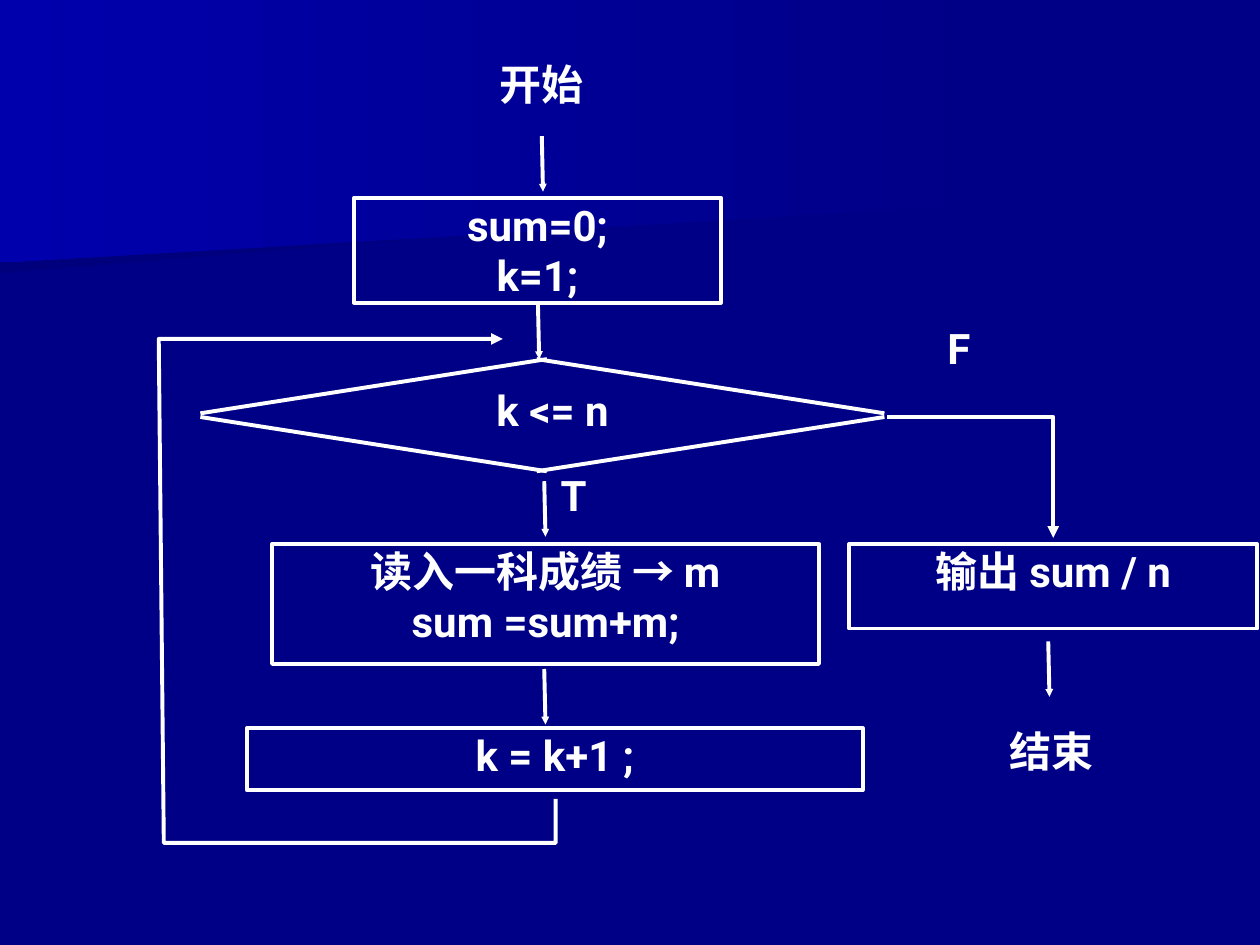
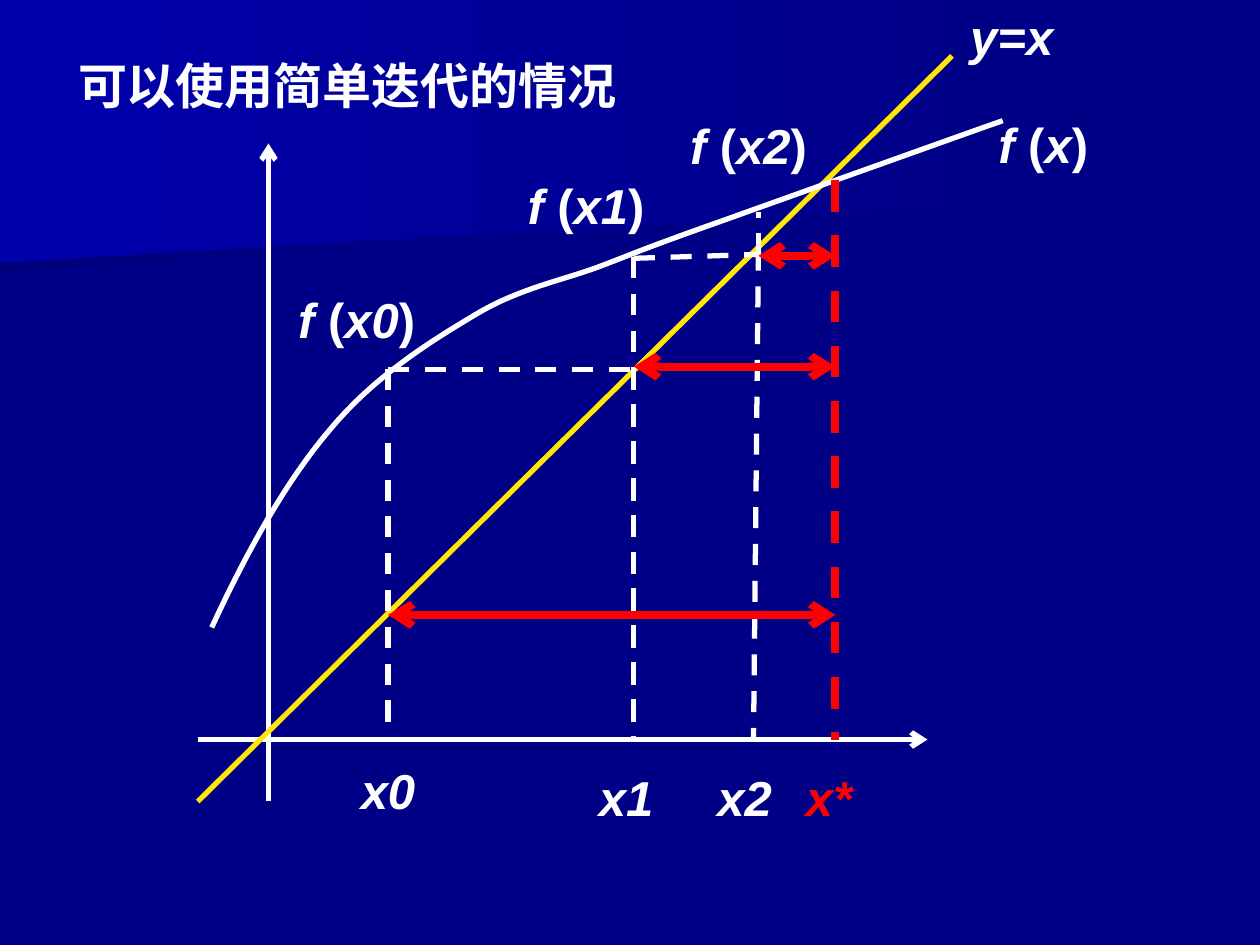
import pptx
import pptx.dml.color
import pptx.enum.dml
import pptx.enum.shapes
import pptx.enum.text
import pptx.util
import lxml.etree
from pptx.enum.text import MSO_ANCHOR, PP_ALIGN
from pptx.oxml.ns import qn

Pt = pptx.util.Pt
RGBColor = pptx.dml.color.RGBColor

NAVY = RGBColor(0x00, 0x00, 0x86)
DEEP_NAVY = RGBColor(0x00, 0x00, 0x7D)
BRIGHT_BLUE = RGBColor(0x00, 0x00, 0xAC)
WHITE = RGBColor(0xFF, 0xFF, 0xFF)
YELLOW = RGBColor(0xFF, 0xE7, 0x01)
RED = RGBColor(0xFF, 0x00, 0x00)

FLOW_FONT, FLOW_SIZE, FLOW_LINE = "Roboto", 24, 2.25
PLOT_FONT, PLOT_SIZE, PLOT_LINE = "Arial", 28, 3
DISTANCE_LINE = 4.5


# Shared drawing helpers
def style_run(run, font, size, color=WHITE, italic=None):
    run.font.name = font
    run.font.size = Pt(size)
    run.font.bold = True
    run.font.italic = italic
    run.font.color.rgb = color


def style_line(shape, color, width, dashed=False, head=None, tail=None, tip="med"):
    shape.line.color.rgb = color
    shape.line.width = Pt(width)
    if dashed:
        shape.line.dash_style = pptx.enum.dml.MSO_LINE.DASH
    for tag, kind in (("a:headEnd", head), ("a:tailEnd", tail)):
        if kind:
            lxml.etree.SubElement(shape.get_or_add_ln(), qn(tag),
                                  type=kind, w=tip, len=tip)


def set_margins(frame, horizontal, vertical):
    frame.margin_left = frame.margin_right = Pt(horizontal)
    frame.margin_top = frame.margin_bottom = Pt(vertical)


class Region:
    """Part of a slide; everything in it is placed from its top left corner."""

    def __init__(self, slide, left, top):
        self.shapes = slide.shapes
        self.left, self.top = left, top

    def at(self, x, y):
        return Pt(self.left + x), Pt(self.top + y)

    def line(self, start, end, color, width, **ends):
        connector = self.shapes.add_connector(
            pptx.enum.shapes.MSO_CONNECTOR.STRAIGHT, *self.at(*start), *self.at(*end))
        style_line(connector, color, width, **ends)
        lxml.etree.SubElement(connector.element.spPr, qn("a:effectLst"))

    def outline(self, points, close=False):
        first, *rest = [self.at(*point) for point in points]
        builder = self.shapes.build_freeform(*first)
        builder.add_line_segments(rest, close=close)
        shape = builder.convert_to_shape()
        shape.shadow.inherit = False
        return shape

    def open_path(self, points, color, width, **ends):
        shape = self.outline(points)
        shape.fill.background()
        style_line(shape, color, width, **ends)

    def text(self, x, y, width, height):
        return self.shapes.add_textbox(*self.at(x, y), Pt(width), Pt(height))


# Master: navy background and two slanted bands
def build_master(prs, slide):
    master = prs.slide_master
    master.background.fill.solid()
    master.background.fill.fore_color.rgb = NAVY
    bands = (
        (DEEP_NAVY, [(560, 110), (0, 156), (0, 73), (561, 73), (560, 92)]),
        (BRIGHT_BLUE, [(570, 116.6), (0, 150), (0, 0), (570, 0)]),
    )
    page = Region(slide, 0, 0)
    for position, (left_color, corners) in enumerate(bands, start=2):
        band = page.outline(corners, close=True)
        band.line.fill.background()
        band.fill.gradient()
        band.fill.gradient_angle = 180
        for stop, color, offset in zip(band.fill.gradient_stops,
                                       (NAVY, left_color), (0, 1)):
            stop.color.rgb = color
            stop.position = offset
        master.shapes.element.insert(position, band.element)


# Flowchart slide
def fill_flow_text(shape, text, align):
    frame = shape.text_frame
    frame.word_wrap = True
    frame.vertical_anchor = MSO_ANCHOR.TOP
    set_margins(frame, 0.75, 0.75)
    frame.text = text
    for paragraph in frame.paragraphs:
        paragraph.alignment = align
        for run in paragraph.runs:
            style_run(run, FLOW_FONT, FLOW_SIZE)


def draw_flowchart(slide, left, top):
    chart = Region(slide, left, top)

    # Process boxes
    for text, x, y, width, height in (
        ("sum=0;\nk=1;", 112.3, 81, 209.5, 60),
        ("读入一科成绩 → m\nsum =sum+m;", 65.5, 279, 312.5, 68.4),
        ("k = k+1 ;", 51, 384.2, 352, 35.3),
        ("输出 sum / n", 395.3, 279, 233.3, 48.2),
    ):
        step = chart.shapes.add_shape(pptx.enum.shapes.MSO_SHAPE.RECTANGLE,
                                      *chart.at(x, y), Pt(width), Pt(height))
        step.shadow.inherit = False
        step.fill.background()
        style_line(step, WHITE, FLOW_LINE)
        fill_flow_text(step, text, PP_ALIGN.CENTER)

    # Start, end, condition and branch labels
    for text, x, y, width, height, align in (
        ("开始", 134.6, 0.4, 170, 34, PP_ALIGN.CENTER),
        ("k <= n", 67, 187, 317.5, 35.3, PP_ALIGN.CENTER),
        ("结束", 438.5, 382, 144.7, 37.4, PP_ALIGN.CENTER),
        ("F", 450.7, 151.6, 57.6, 64.8, PP_ALIGN.LEFT),
        ("T", 229.7, 235.8, 57.6, 57.6, PP_ALIGN.LEFT),
    ):
        fill_flow_text(chart.text(x, y, width, height), text, align)

    # Condition diamond
    for side_x, peak_x in ((24.5, 222.5), (415.4, 216.7)):
        for side_y, peak_y in ((204.2, 173.2), (206.3, 237.3)):
            chart.line((side_x, side_y), (peak_x, peak_y), WHITE, FLOW_LINE)

    # Short arrows from step to step
    for x, y in ((219.6, 45.8), (217.4, 141.5), (221, 243), (221, 350.3), (509, 334.5)):
        chart.line((x, y), (x + 0.7, y + 31.7), WHITE, FLOW_LINE,
                   tail="triangle", tip="sm")

    # Loop back and exit
    loop_back = [(227.5, 424.5), (227.5, 449.7), (3.6, 449.7), (0.7, 161.7), (197.3, 161.7)]
    loop_exit = [(416.9, 206.3), (511.9, 206.3), (511.9, 275.4)]
    for route in (loop_back, loop_exit):
        chart.open_path(route, WHITE, FLOW_LINE, tail="triangle")


# Iteration plot slide
def set_title(slide, text, left, top, width, height):
    title = slide.shapes.title
    title.left, title.top, title.width, title.height = map(Pt, (left, top, width, height))
    frame = title.text_frame
    frame.text = text
    frame.word_wrap = False
    frame.auto_size = pptx.enum.text.MSO_AUTO_SIZE.NONE
    frame.vertical_anchor = MSO_ANCHOR.MIDDLE
    set_margins(frame, 7.2, 3.6)
    frame.paragraphs[0].alignment = PP_ALIGN.LEFT
    style_run(frame.paragraphs[0].runs[0], PLOT_FONT, PLOT_SIZE)


def bezier_points(controls, steps=16):
    """Points along a chain of cubic curves that share their end points."""
    points = [controls[0]]
    for i in range(0, len(controls) - 1, 3):
        for step in range(1, steps + 1):
            t = step / steps
            weights = ((1 - t) ** 3, 3 * t * (1 - t) ** 2, 3 * t * t * (1 - t), t ** 3)
            points.append(tuple(
                sum(w * p[axis] for w, p in zip(weights, controls[i:i + 4]))
                for axis in (0, 1)))
    return points


def add_plot_label(plot, parts, x, y, width, color=WHITE):
    frame = plot.text(x, y, width, 41).text_frame
    frame.word_wrap = True
    set_margins(frame, 7.2, 3.6)
    paragraph = frame.paragraphs[0]
    paragraph.alignment = PP_ALIGN.CENTER
    for part in parts:
        run = paragraph.add_run()
        run.text = part
        style_run(run, PLOT_FONT, PLOT_SIZE, color, italic=part not in (" (", ")"))


def draw_iteration_plot(slide, left, top):
    plot = Region(slide, left, top)
    base = 390.6
    x0, x1, x2, x_star = 108.8, 249.2, 320.4, 364.4
    f_x0, f_x1 = 179, 114.2

    # Axes, y=x and f(x)
    plot.line((40.4, 426), (40.4, 50), WHITE, PLOT_LINE, tail="arrow")
    plot.line((0, base), (417, base), WHITE, PLOT_LINE, tail="arrow")
    plot.line((0, 426), (431, 0), YELLOW, PLOT_LINE)
    curve = [(8, 326.6), (28, 283.4), (50.4, 243), (75.6, 213.5),
             (100, 184), (131.8, 163.8), (158.4, 148),
             (184.4, 132.2), (211, 127.8), (232.6, 119.2),
             (255, 110.6), (252, 111.3), (290.2, 97.6),
             (328.4, 84), (424.8, 49.4), (460, 37)]
    plot.open_path(bezier_points(curve), WHITE, PLOT_LINE)

    # Limit and dashed iteration steps
    plot.line((x_star, 71), (x_star, base), RED, DISTANCE_LINE, dashed=True)
    for start, end in (
        ((x0, f_x0), (x0, base)),
        ((x0, f_x0), (250.6, f_x0)),
        ((x1, f_x0), (x1, base)),
        ((x1, f_x1 + 0.7), (x1, base)),
        ((x1, 115.6), (x2, 113.4)),
        ((x2, 110.6), (317.6, base)),
        ((x2, 113.4), (x2, 89)),
    ):
        plot.line(start, end, WHITE, PLOT_LINE, dashed=True)

    # Distance of each step from the limit
    for x, y in ((x2, f_x1), (x0, 319.4), (x1, 177.5)):
        plot.line((x, y), (x_star, y), RED, DISTANCE_LINE, head="arrow", tail="arrow")

    # Labels on the curves
    add_plot_label(plot, ["y=x"], 431.3, -32, 67.7)
    for argument, x, y, width in (("x", 449.3, 30, 67.7), ("x0", 44.7, 130, 92.2),
                                  ("x1", 175.7, 64.5, 92.2), ("x2", 268.6, 30.6, 92.2)):
        add_plot_label(plot, ["f", " (", argument, ")"], x, y, width)

    # Labels under the axis
    for name, x, y, color in (("x0", 85.7, 399.3, WHITE), ("x1", 221.8, 403, WHITE),
                              ("x2", 289.5, 403, WHITE), ("x*", 337.7, 403, RED)):
        add_plot_label(plot, [name], x, y, 46, color)


def main():
    prs = pptx.Presentation()
    prs.slide_width, prs.slide_height = Pt(720), Pt(540)
    title_only, blank = prs.slide_layouts[5], prs.slide_layouts[6]

    flow_slide = prs.slides.add_slide(blank)
    build_master(prs, flow_slide)
    draw_flowchart(flow_slide, 90, 32)

    plot_slide = prs.slides.add_slide(title_only)
    set_title(plot_slide, "可以使用简单迭代的情况", 37.4, 28, 322, 41)
    draw_iteration_plot(plot_slide, 113, 32)

    prs.save("out.pptx")


if __name__ == "__main__":
    main()
